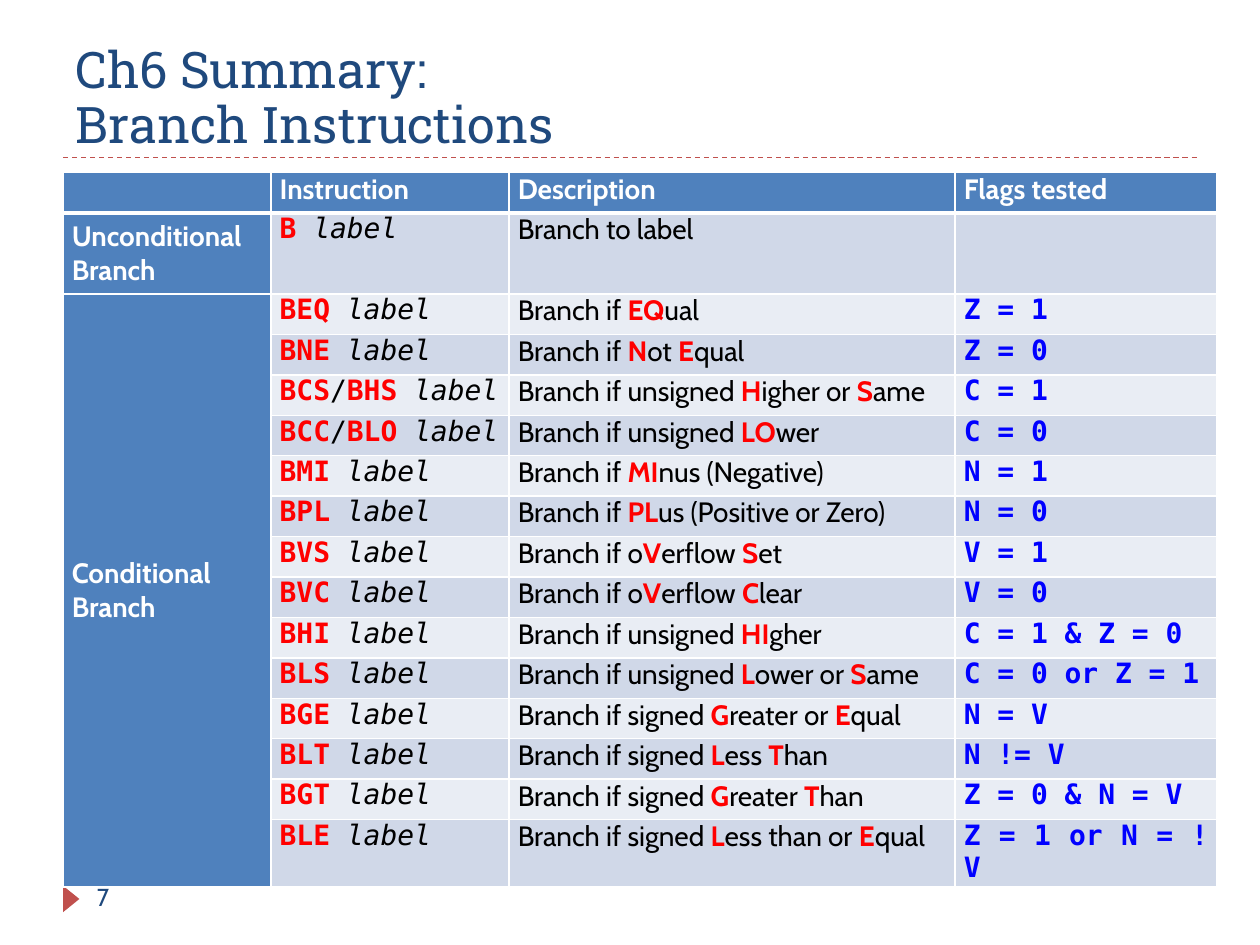
from lxml.etree import SubElement
from pptx import Presentation
from pptx.dml.color import RGBColor
from pptx.enum.dml import MSO_LINE
from pptx.enum.shapes import MSO_CONNECTOR, MSO_SHAPE
from pptx.enum.text import MSO_ANCHOR, PP_ALIGN
from pptx.oxml import parse_xml
from pptx.oxml.ns import nsdecls, qn
from pptx.util import Inches, Pt

COLORS = {
    "navy": "1F497D", "accent": "C0504D", "header": "4F81BD",
    "band_dark": "D0D8E8", "band_light": "E9EDF4", "white": "FFFFFF",
    "black": "000000", "key": "FF0000", "flag": "0000FF",
}
HEADING_FONT, BODY_FONT, CODE_FONT = "Roboto Slab", "Cabin", "DejaVu Sans Mono"
COLUMN_WIDTHS = (1.65, 1.89, 3.54, 2.08)
HEADINGS = ("", "Instruction", "Description", "Flags tested")
BRANCHES = [
    ("B", "Branch to label", ""),
    ("BEQ", "Branch if *EQ*ual", "Z = 1"),
    ("BNE", "Branch if *N*ot *E*qual", "Z = 0"),
    ("BCS/BHS", "Branch if unsigned *H*igher or *S*ame", "C = 1"),
    ("BCC/BLO", "Branch if unsigned *LO*wer", "C = 0"),
    ("BMI", "Branch if *MI*nus (Negative)", "N = 1"),
    ("BPL", "Branch if *PL*us (Positive or Zero)", "N = 0"),
    ("BVS", "Branch if o*V*erflow *S*et", "V = 1"),
    ("BVC", "Branch if o*V*erflow *C*lear", "V = 0"),
    ("BHI", "Branch if unsigned *HI*gher", "C = 1 & Z = 0"),
    ("BLS", "Branch if unsigned *L*ower or *S*ame", "C = 0 or Z = 1"),
    ("BGE", "Branch if signed *G*reater or *E*qual", "N = V"),
    ("BLT", "Branch if signed *L*ess *T*han", "N != V"),
    ("BGT", "Branch if signed *G*reater *T*han", "Z = 0 & N = V"),
    ("BLE", "Branch if signed *L*ess than or *E*qual", "Z = 1 or N = !V"),
]


def rgb(name):
    """Return the named colour."""
    return RGBColor.from_string(COLORS[name])


def add_run(paragraph, text, color, size=16, font=BODY_FONT, bold=False, italic=False):
    """Append one formatted run to a paragraph."""
    run = paragraph.add_run()
    run.text = text
    run.font.name, run.font.size = font, Pt(size)
    run.font.bold, run.font.italic = bold, italic
    run.font.color.rgb = rgb(color)


def add_marked(paragraph, marked, font=BODY_FONT):
    """Append text whose starred parts are bold and red."""
    for index, part in enumerate(marked.split("*")):
        if part:
            key = index % 2 == 1
            add_run(paragraph, part, "key" if key else "black", font=font, bold=key)


def add_title(slide, lines, left, top, width, height):
    """Place the bottom-anchored title and the dashed rule under it."""
    frame = slide.shapes.add_textbox(left, top, width, height).text_frame
    frame.word_wrap = True
    frame.vertical_anchor = MSO_ANCHOR.BOTTOM
    frame.margin_bottom = Inches(0.02)
    heading = frame.paragraphs[0]
    heading.line_spacing = 0.92
    for index, line in enumerate(lines):
        if index:
            heading.add_line_break()
        add_run(heading, line, "navy", 28.8, HEADING_FONT)

    bottom = top + height
    rule = slide.shapes.add_connector(MSO_CONNECTOR.STRAIGHT, left, bottom, left + width, bottom)
    rule.line.color.rgb = rgb("accent")
    rule.line.width = Pt(0.75)
    rule.line.dash_style = MSO_LINE.DASH
    SubElement(rule._element.spPr, qn("a:effectLst"))


def style_cell(cell, fill, bottom_width=1):
    """Fill a cell, set its margins and draw white borders; return its paragraph."""
    cell.fill.solid()
    cell.fill.fore_color.rgb = rgb(fill)
    cell.margin_left = cell.margin_right = Inches(0.07)
    cell.margin_top = cell.margin_bottom = 0
    properties = cell._tc.get_or_add_tcPr()
    for index, side in enumerate("LRTB"):
        points = bottom_width if side == "B" else 1
        properties.insert(index, parse_xml(
            f'<a:ln{side} {nsdecls("a")} w="{Pt(points)}"><a:solidFill>'
            f'<a:srgbClr val="{COLORS["white"]}"/></a:solidFill></a:ln{side}>'))
    paragraph = cell.text_frame.paragraphs[0]
    paragraph.alignment = PP_ALIGN.JUSTIFY
    return paragraph


def add_branch_table(slide, left, top, width, height):
    """Place the table of branch instructions."""
    row_count = len(BRANCHES) + 1
    table = slide.shapes.add_table(
        row_count, len(HEADINGS), left, top, width, height).table
    for column, column_width in zip(table.columns, COLUMN_WIDTHS):
        column.width = Inches(column_width)
    unit = height // (row_count + 1)
    for index, row in enumerate(table.rows):
        row.height = unit * 2 if index == 1 else unit

    for column, heading in enumerate(HEADINGS):
        paragraph = style_cell(table.cell(0, column), "header", 3)
        if heading:
            add_run(paragraph, heading, "white", bold=True)

    for row, (mnemonics, description, flags) in enumerate(BRANCHES, 1):
        band = "band_dark" if row % 2 else "band_light"
        style_cell(table.cell(row, 0), "header")
        instruction, meaning, tested = (
            style_cell(table.cell(row, column), band) for column in (1, 2, 3))
        add_marked(instruction, "*" + mnemonics.replace("/", "*/*") + " *", CODE_FONT)
        add_run(instruction, "label", "black", font=CODE_FONT, italic=True)
        add_marked(meaning, description)
        if flags:
            add_run(tested, flags, "flag", font=CODE_FONT, bold=True)

    table.cell(2, 0).merge(table.cell(row_count - 1, 0))
    for row, group in ((1, "Unconditional Branch"), (2, "Conditional Branch")):
        cell = table.cell(row, 0)
        cell.vertical_anchor = MSO_ANCHOR.MIDDLE
        add_run(cell.text_frame.paragraphs[0], group, "white", bold=True)


def add_page_number(slide, number, left, top, width, height):
    """Place the triangle marker and the page number beside it."""
    marker = slide.shapes.add_shape(
        MSO_SHAPE.ISOSCELES_TRIANGLE, left, top + Inches(0.12), Inches(0.21), Inches(0.13))
    marker.rotation = 90
    marker.shadow.inherit = False
    marker.fill.solid()
    marker.fill.fore_color.rgb = rgb("accent")
    marker.line.fill.background()

    indent = Inches(0.21)
    frame = slide.shapes.add_textbox(left + indent, top, width - indent, height).text_frame
    frame.word_wrap = True
    add_run(frame.paragraphs[0], number, "navy", 14)


def main():
    """Build and save the slide."""
    deck = Presentation()
    deck.slide_width, deck.slide_height = Inches(10), Inches(7.5)
    slide = deck.slides.add_slide(deck.slide_layouts[6])
    add_title(slide, ("Ch6 Summary: ", "Branch Instructions"),
              Inches(0.5), Inches(0.17), Inches(9), Inches(1.08))
    add_page_number(slide, "7", Inches(0.46), Inches(6.95), Inches(2.38), Inches(0.4))
    add_branch_table(slide, Inches(0.5), Inches(1.37), Inches(9.17), Inches(5.46))
    deck.save("out.pptx")


if __name__ == "__main__":
    main()
